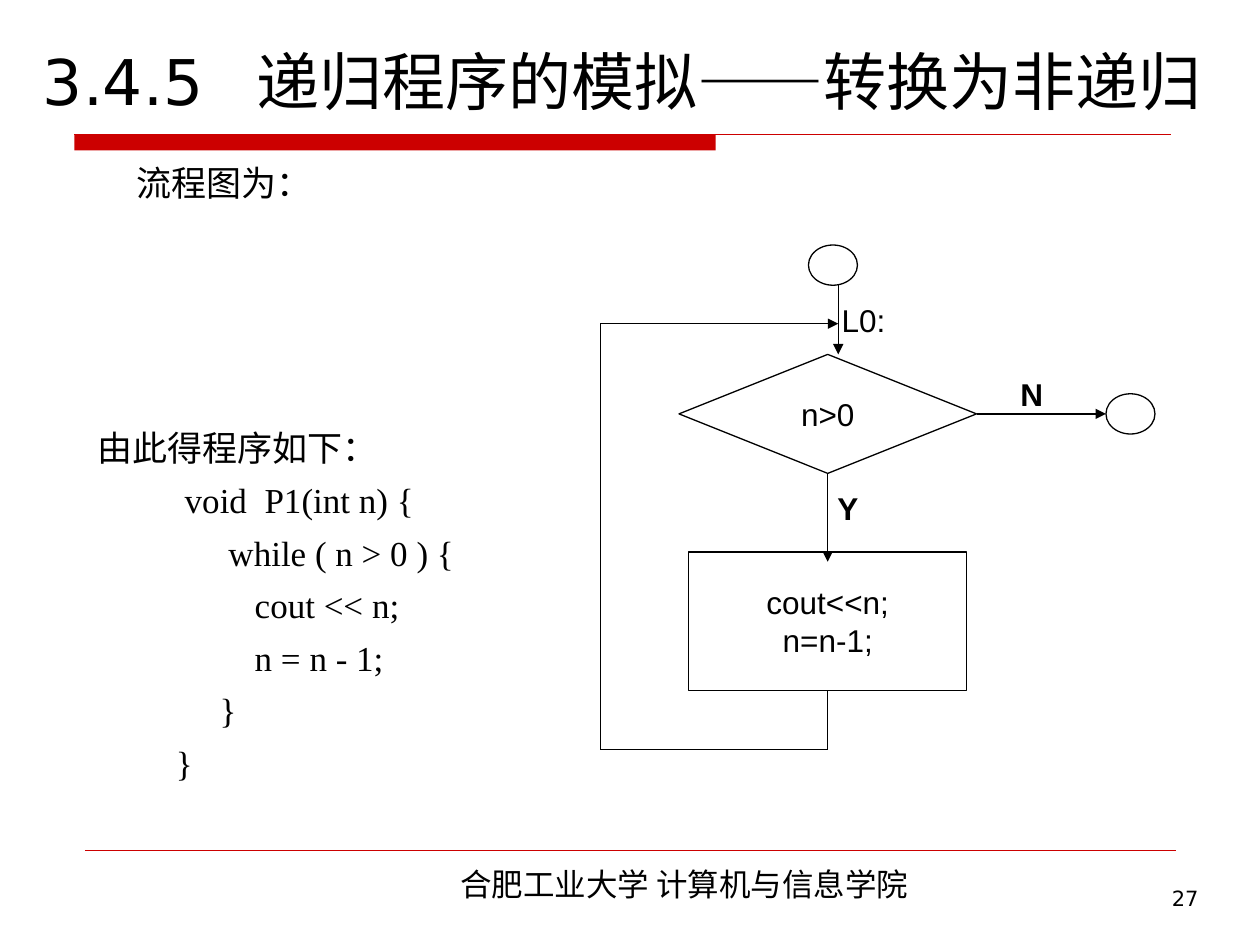
from pptx import Presentation
from pptx.dml.color import RGBColor
from pptx.enum.shapes import MSO_CONNECTOR, MSO_SHAPE
from pptx.enum.text import MSO_ANCHOR, PP_ALIGN
from pptx.oxml.ns import qn
from pptx.util import Pt
from lxml import etree

STRAIGHT = MSO_CONNECTOR.STRAIGHT
RECTANGLE, OVAL = MSO_SHAPE.RECTANGLE, MSO_SHAPE.OVAL
DECISION = MSO_SHAPE.FLOWCHART_DECISION
LEFT, CENTER, RIGHT = PP_ALIGN.LEFT, PP_ALIGN.CENTER, PP_ALIGN.RIGHT
TOP, MIDDLE, BOTTOM = MSO_ANCHOR.TOP, MSO_ANCHOR.MIDDLE, MSO_ANCHOR.BOTTOM
BOTTOM_SITE, RIGHT_SITE = 2, 3

BLACK = RGBColor(0, 0, 0)
RED = RGBColor(0xCC, 0, 0)
SANS, SERIF, ARIAL, CHINESE = "DejaVu Sans", "Times New Roman", "Arial", "Noto Sans CJK SC"

CODE_LINES = [
    "由此得程序如下：",
    "          void  P1(int n) {",
    "               while ( n > 0 ) {",
    "                  cout << n;",
    "                  n = n - 1;",
    "              }",
    "         }",
]


def write_lines(frame, lines, font, size, align=LEFT, anchor=TOP, wrap=True, bold=False, gap=0):
    frame.word_wrap = wrap
    frame.vertical_anchor = anchor
    for index, line in enumerate(lines):
        paragraph = frame.add_paragraph() if index else frame.paragraphs[0]
        paragraph.alignment = align
        paragraph.space_before = Pt(gap if index else 0)
        run = paragraph.add_run()
        run.text = line
        run.font.name = font
        run.font.size = Pt(size)
        run.font.bold = bold
        run.font.color.rgb = BLACK
        east_asian = etree.SubElement(run.font._element, qn("a:ea"))
        east_asian.set("typeface", CHINESE)


def add_text(slide, box, lines, font, size, **style):
    shape = slide.shapes.add_textbox(*map(Pt, box))
    write_lines(shape.text_frame, lines, font, size, **style)
    return shape


def add_line(slide, start, end, color=BLACK, width=0.75, arrow=False):
    line = slide.shapes.add_connector(STRAIGHT, *map(Pt, (*start, *end)))
    line.line.color.rgb = color
    line.line.width = Pt(width)
    if arrow:
        tail = etree.SubElement(line.line._get_or_add_ln(), qn("a:tailEnd"))
        tail.set("type", "triangle")
    etree.SubElement(line._element.spPr, qn("a:effectLst"))
    return line


def add_node(slide, kind, box, lines=()):
    node = slide.shapes.add_shape(kind, *map(Pt, box))
    node.shadow.inherit = False
    node.fill.background()
    node.line.color.rgb = BLACK
    node.line.width = Pt(0.75)
    write_lines(node.text_frame, lines, ARIAL, 18, align=CENTER, anchor=MIDDLE, wrap=False)
    return node


def add_header_rule(slide, left, top, width, height):
    """Draw a thin line across the box, with a thick bar under its left part."""
    bar = slide.shapes.add_shape(RECTANGLE, Pt(left), Pt(top), Pt(width * 0.585), Pt(height))
    bar.shadow.inherit = False
    bar.fill.solid()
    bar.fill.fore_color.rgb = RED
    bar.line.fill.background()
    add_line(slide, (left, top), (left + width, top), RED)


def add_title(slide, box):
    title = add_text(slide, box, ["3.4.5\t递归程序的模拟——转换为非递归"], SANS, 36, anchor=BOTTOM)
    properties = title.text_frame.paragraphs[0]._p.get_or_add_pPr()
    tabs = etree.SubElement(properties, qn("a:tabLst"))
    etree.SubElement(tabs, qn("a:tab"), pos=str(Pt(122)), algn="l")


def add_footer(slide, left, top, width, height):
    add_line(slide, (left, top), (left + width, top), RED, 0.25)
    add_text(slide, (left + 124.5, top + 5, 436, 29), ["合肥工业大学 计算机与信息学院"],
             CHINESE, 18, align=CENTER)
    add_text(slide, (left + 487.5, top + 16.5, 156, height - 16.5), ["27"], SANS, 12, align=RIGHT)


def add_program(slide, left, top, width, height):
    add_text(slide, (left + 22.4, top, width - 22.4, 36), ["流程图为："], SERIF, 20)
    code_top = 151.5
    add_text(slide, (left, top + code_top, width, height - code_top), CODE_LINES,
             SERIF, 20, gap=6)


def add_flowchart(slide, left, top, width, height):
    def at(x, y):
        return left + x, top + y

    axis, entry_axis, test_y, return_y = 130, 136, 96.5, 45
    circle = (28, 23)
    exit_x = width - circle[0]

    add_node(slide, OVAL, (*at(119, 0), *circle))
    add_node(slide, OVAL, (*at(exit_x, test_y - circle[1] / 2), *circle))
    test = add_node(slide, DECISION, (*at(axis - 85, test_y - 34), 170, 68), ["n>0"])
    step = add_node(slide, RECTANGLE, (*at(axis - 79.5, 175.5), 159, 79),
                    ["cout<<n;", "n=n-1;"])

    add_line(slide, at(entry_axis, circle[1]), at(entry_axis, test_y - 34), arrow=True)
    yes = add_line(slide, at(axis, test_y + 34), at(axis, 181), arrow=True)
    yes.begin_connect(test, BOTTOM_SITE)
    no = add_line(slide, at(axis + 85, test_y), at(exit_x, test_y), arrow=True)
    no.begin_connect(test, RIGHT_SITE)

    out = add_line(slide, at(axis, 254.5), at(axis, height))
    out.begin_connect(step, BOTTOM_SITE)
    add_line(slide, at(axis, height), at(0, height))
    add_line(slide, at(0, height), at(0, return_y))
    add_line(slide, at(0, return_y), at(entry_axis, return_y), arrow=True)

    for text, x, y, label_width, label_height, bold in (
        ("L0:", 119, 17, 63, 51, False),
        ("N", 226.5, 62.5, 40, 45, True),
        ("Y", 119, 130, 45, 40, True),
    ):
        add_text(slide, (*at(x, y), label_width, label_height), [text], ARIAL, 18,
                 align=CENTER, anchor=MIDDLE, wrap=False, bold=bold)


def main():
    presentation = Presentation()
    presentation.slide_width, presentation.slide_height = Pt(720), Pt(540)
    slide = presentation.slides.add_slide(presentation.slide_layouts[6])
    add_header_rule(slide, 42.5, 77, 626.5, 9)
    add_footer(slide, 48.5, 486, 623.5, 54)
    add_title(slide, (17.5, 15, 695, 56))
    add_program(slide, 48.5, 88.5, 290, 396.5)
    add_flowchart(slide, 343, 140, 317, 288.5)
    presentation.save("out.pptx")


if __name__ == "__main__":
    main()
